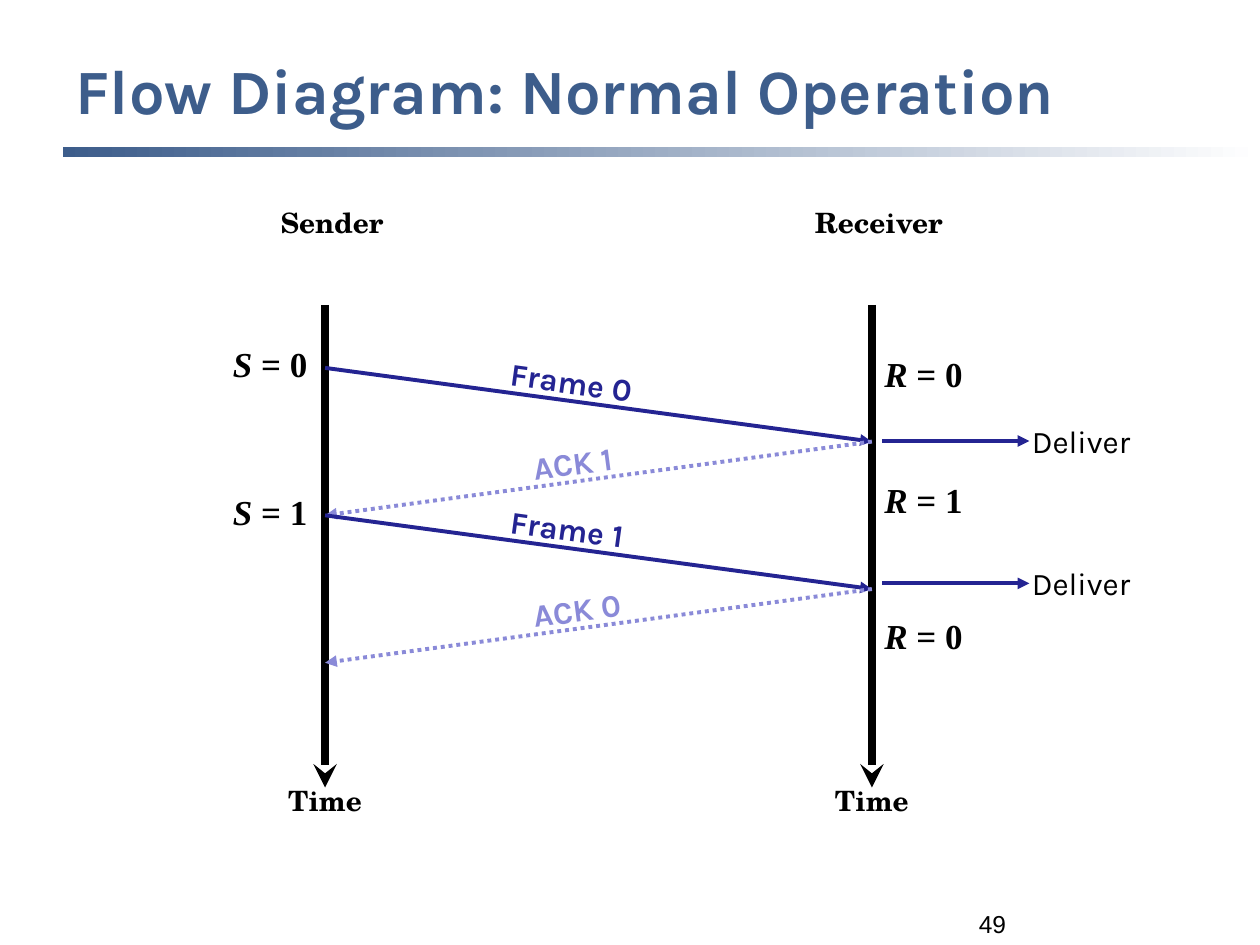
from lxml.etree import SubElement
from pptx import Presentation
from pptx.dml.color import RGBColor
from pptx.enum.dml import MSO_LINE
from pptx.enum.shapes import MSO_CONNECTOR, MSO_SHAPE
from pptx.enum.text import MSO_ANCHOR, MSO_AUTO_SIZE, PP_ALIGN
from pptx.oxml.ns import qn
from pptx.util import Inches, Pt

BLACK, HEADING, FRAME, ACK = "000000", "3D5D8B", "242492", "8A8AD8"
SANS, SERIF, MATH = "Karla", "TeX Gyre Schola", "Times New Roman"


def rgb(value):
    """Turn a hex string into a colour."""
    return RGBColor.from_string(value)


def write(shape, *texts, font=SANS, size=18, color=BLACK, bold=False, italics=(),
          align=PP_ALIGN.LEFT, anchor=MSO_ANCHOR.TOP, wrap=True):
    """Fill a shape with one formatted paragraph, one run for each text."""
    frame = shape.text_frame
    frame.auto_size = MSO_AUTO_SIZE.NONE
    frame.word_wrap = wrap
    frame.vertical_anchor = anchor
    para = frame.paragraphs[0]
    para.alignment = align
    for text in texts:
        span = para.add_run()
        span.text = text
        span.font.name = font
        span.font.size = Pt(size)
        span.font.bold = bold
        span.font.italic = text in italics
        span.font.color.rgb = rgb(color)


def add_text(page, box, *texts, rotation=0, **style):
    """Add a text box at left, top, width, height in inches."""
    shape = page.shapes.add_textbox(*map(Inches, box))
    shape.rotation = rotation
    write(shape, *texts, **style)


def add_arrow(page, start, end, color, width=2.25, head="triangle", dash=None):
    """Add a straight arrow from start to end."""
    arrow = page.shapes.add_connector(MSO_CONNECTOR.STRAIGHT, *map(Inches, (*start, *end)))
    arrow.line.color.rgb = rgb(color)
    arrow.line.width = Pt(width)
    if dash:
        arrow.line.dash_style = dash
    SubElement(arrow.line._get_or_add_ln(), qn("a:tailEnd"), type=head)
    SubElement(arrow._element.spPr, qn("a:effectLst"))


def add_header(page, box):
    """Place the title and the fading rule at the foot of the box."""
    left, top, width, height = box
    title = page.shapes.title
    title.left, title.top, title.width, title.height = map(Inches, box)
    write(title, "Flow Diagram: Normal Operation", size=36, color=HEADING, bold=True,
          anchor=MSO_ANCHOR.MIDDLE)
    rule = page.shapes.add_shape(MSO_SHAPE.RECTANGLE, *map(
        Inches, (left, top + height - 0.08, width + 0.5, 0.08)))
    rule.shadow.inherit = False
    rule.line.fill.background()
    rule.fill.gradient()
    rule.fill.gradient_angle = 0
    for stop, color in zip(rule.fill.gradient_stops, (HEADING, "FFFFFF")):
        stop.color.rgb = rgb(color)


def add_lifeline(page, box, name):
    """Place a named time axis along the left edge of the box."""
    left, top, _, height = box
    style = dict(font=SERIF, size=16, bold=True, align=PP_ALIGN.CENTER)
    add_text(page, (left - 0.58, top - 0.84, 1.27, 0.36), name, **style)
    add_arrow(page, (left, top), (left, top + height), BLACK, width=4.5, head="stealth")
    add_text(page, (left - 0.5, top + height - 0.08, 1, 0.36), "Time", **style)


def add_exchange(page, box, frame_label, ack_label):
    """Place a frame and its acknowledgement between the sides of the box."""
    left, top, width, height = box
    right, middle, bottom = left + width, top + height / 2, top + height
    style = dict(bold=True, wrap=False)
    add_arrow(page, (left, top), (right, middle), FRAME)
    add_text(page, (left + 1.37, top - 0.08, 1.33, 0.4), frame_label,
             rotation=7.9, color=FRAME, **style)
    add_arrow(page, (right, middle), (left, bottom), ACK, dash=MSO_LINE.ROUND_DOT)
    add_text(page, (left + 1.55, top + 0.54, 1.02, 0.4), ack_label,
             rotation=352.5, color=ACK, **style)


def add_state(page, box, variable, value):
    """Place a state variable and its value."""
    add_text(page, box, variable, f" = {value}", font=MATH, size=20, bold=True,
             italics=(variable,), wrap=False)


def add_delivery(page, box):
    """Place an arrow through the middle of the box, ending at its label."""
    left, top, width, height = box
    middle = top + height / 2
    add_arrow(page, (left, middle), (left + 1.17, middle), FRAME)
    add_text(page, (left + 1.09, top, width - 1.09, height), "Deliver", wrap=False)


def main():
    """Build the slide and save it."""
    deck = Presentation()
    deck.slide_width, deck.slide_height = Inches(10), Inches(7.5)
    page = deck.slides.add_slide(deck.slide_layouts[5])
    add_header(page, (0.5, 0.17, 9, 1.08))
    sender, receiver, period = 2.58, 6.92, 1.17
    for left, name in ((sender, "Sender"), (receiver, "Receiver")):
        add_lifeline(page, (left, 2.42, 0, 3.83), name)
    for index in range(2):
        top = 2.92 + index * period
        add_exchange(page, (sender, top, receiver - sender, period),
                     f"Frame {index}", f"ACK {1 - index}")
        add_state(page, (1.75, top - 0.25, 0.79, 0.43), "S", index)
    for top, value in ((2.75, 0), (3.75, 1), (4.83, 0)):
        add_state(page, (receiver, top, 0.82, 0.43), "R", value)
    for top in (3.3, 4.43):
        add_delivery(page, (7, top, 2.18, 0.4))
    add_text(page, (7.67, 6.98, 2.33, 0.52), "49", font="Arial", size=14,
             anchor=MSO_ANCHOR.BOTTOM)
    deck.save("out.pptx")


if __name__ == "__main__":
    main()
